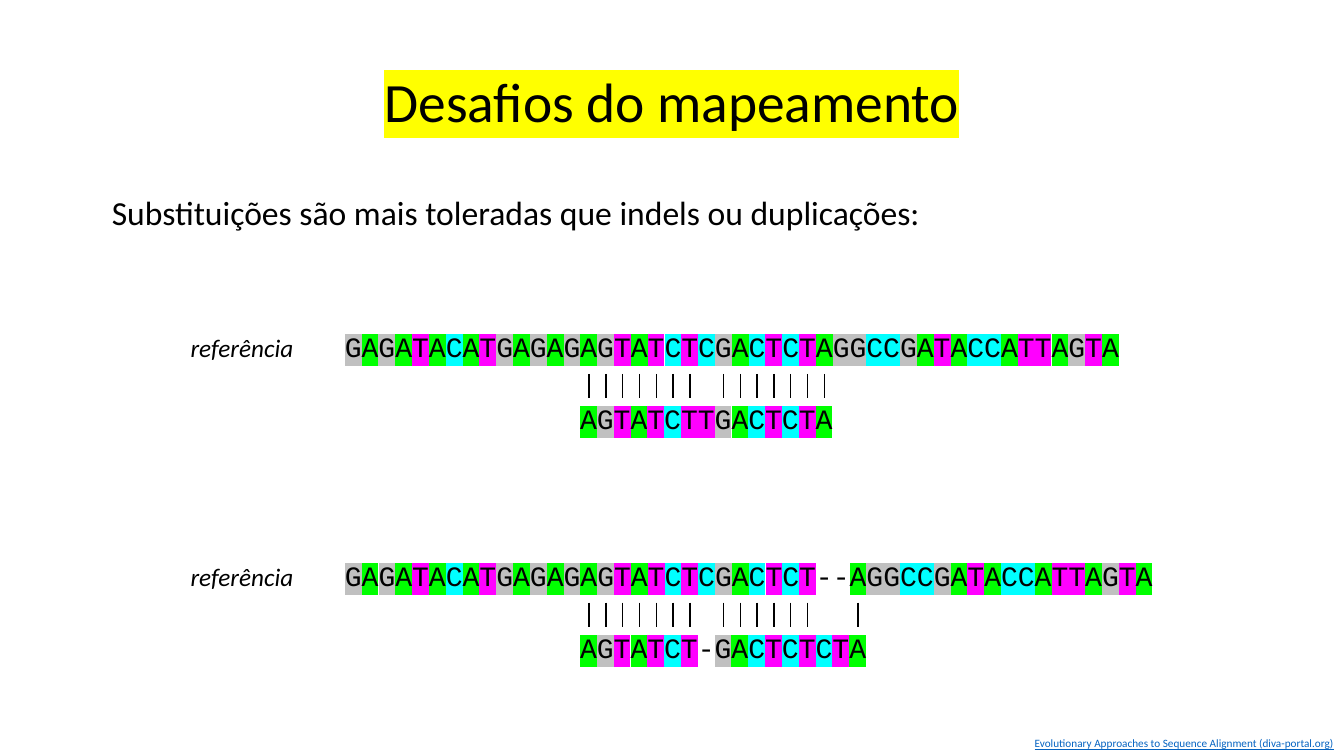
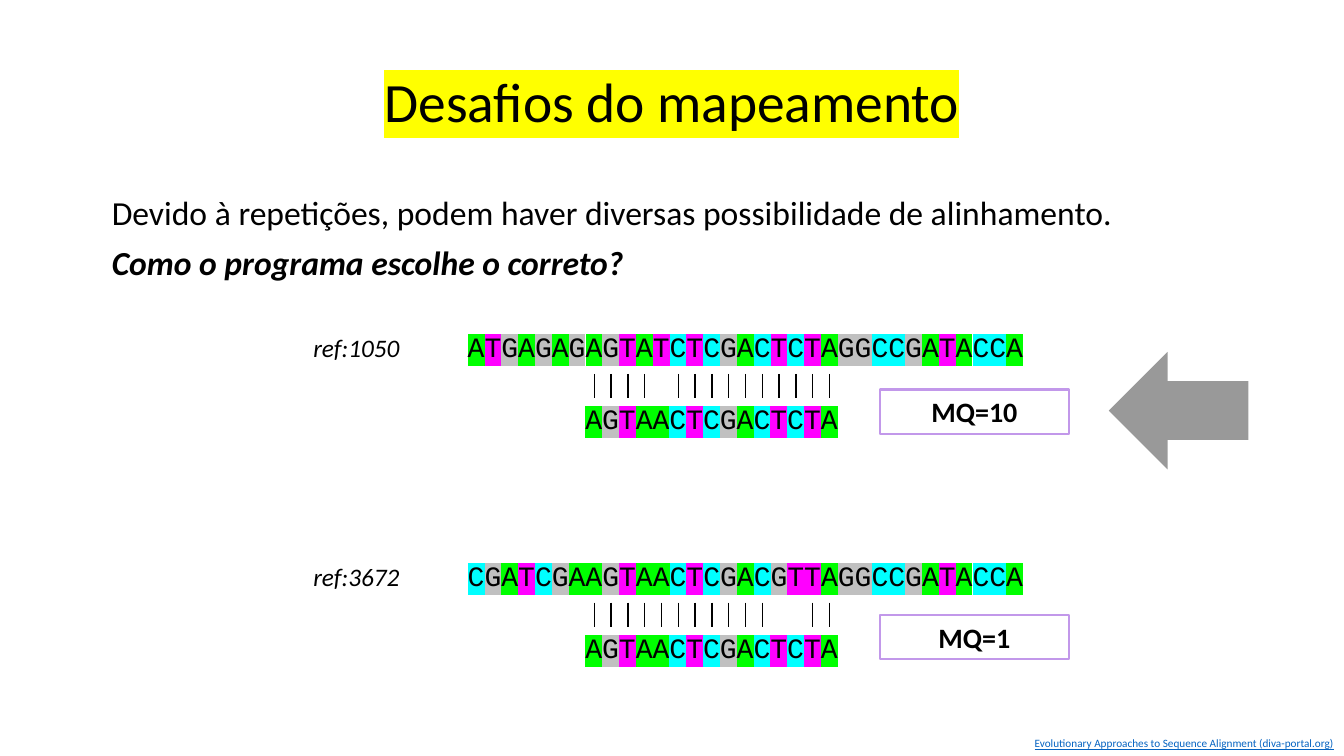
"""Build two slides on the challenges of mapping reads to a reference."""
import itertools

import pptx
import pptx.dml.color
import pptx.enum.shapes
import pptx.enum.text
import pptx.oxml
import pptx.oxml.ns
import pptx.util

RGBColor = pptx.dml.color.RGBColor
Pt = pptx.util.Pt
ALIGN = pptx.enum.text.PP_ALIGN
ANCHOR = pptx.enum.text.MSO_ANCHOR
SHAPE = pptx.enum.shapes.MSO_SHAPE

EMU_PER_PX = 9525
BLACK = RGBColor(0x00, 0x00, 0x00)
YELLOW = RGBColor(0xFF, 0xFF, 0x00)
LILAC = RGBColor(0xC2, 0x98, 0xEA)
LINK_BLUE = RGBColor(0x05, 0x63, 0xC1)
BASE_COLORS = {
    "A": RGBColor(0x00, 0xFF, 0x00),
    "C": RGBColor(0x00, 0xFF, 0xFF),
    "G": RGBColor(0xC0, 0xC0, 0xC0),
    "T": RGBColor(0xFF, 0x00, 0xFF),
}

TITLE = "Desafios do mapeamento"
SOURCE = "Evolutionary Approaches to Sequence Alignment (diva-portal.org)"
SLIDES = [
    {
        "statement": "Substituições são mais toleradas que indels ou duplicações:",
        "question": None,
        "left": 319,
        "offset": 14,
        "alignments": [
            ("referência", "GAGATACATGAGAGAGTATCTCGACTCTAGGCCGATACCATTAGTA",
             "AGTATCTTGACTCTA"),
            ("referência", "GAGATACATGAGAGAGTATCTCGACTCT--AGGCCGATACCATTAGTA",
             "AGTATCT-GACTCTCTA"),
        ],
        "scores": [],
        "arrow": False,
    },
    {
        "statement": "Devido à repetições, podem haver diversas possibilidade "
                     "de alinhamento.",
        "question": "Como o programa escolhe o correto?",
        "left": 436,
        "offset": 7,
        "alignments": [
            ("ref:1050", "ATGAGAGAGTATCTCGACTCTAGGCCGATACCA", "AGTAACTCGACTCTA"),
            ("ref:3672", "CGATCGAAGTAACTCGACGTTAGGCCGATACCA", "AGTAACTCGACTCTA"),
        ],
        "scores": ["MQ=10", "MQ=1"],
        "arrow": True,
    },
]

BASE_WIDTH = 16
TEXT_INSET = 10
ALIGNMENT_TOPS = (313, 531)
SCORE_TOPS = (371, 586)


def px(length):
    return pptx.util.Emu(round(length * EMU_PER_PX))


def box(*lengths):
    return [px(length) for length in lengths]


def style(paragraph, size, name="Calibri", color=BLACK, align=ALIGN.LEFT,
          spacing=None, bold=False, italic=False, underline=False):
    font = paragraph.font
    font.size, font.name = Pt(size), name
    font.bold, font.italic, font.underline = bold, italic, underline
    font.color.rgb = color
    paragraph.alignment = align
    paragraph.line_spacing = spacing


def add_text_box(shapes, place):
    text_frame = shapes.add_textbox(*box(*place)).text_frame
    text_frame.word_wrap = True
    return text_frame


def add_text(shapes, place, text, **looks):
    text_frame = add_text_box(shapes, place)
    text_frame.text = text
    style(text_frame.paragraphs[0], **looks)
    return text_frame


def highlight(run, color):
    properties = run._r.get_or_add_rPr()
    properties.append(pptx.oxml.parse_xml(
        f'<a:highlight {pptx.oxml.ns.nsdecls("a")}>'
        f'<a:srgbClr val="{color}"/></a:highlight>'))


def add_sequence(shapes, left, top, sequence):
    width = len(sequence) * BASE_WIDTH + 24
    paragraph = add_text_box(shapes, (left, top, width, 43)).paragraphs[0]
    for base, repeats in itertools.groupby(sequence):
        run = paragraph.add_run()
        run.text = "".join(repeats)
        if base in BASE_COLORS:
            highlight(run, BASE_COLORS[base])
    style(paragraph, 20, name="Courier New", spacing=0.9)


def add_match_line(shapes, x, top):
    line = shapes.add_connector(
        pptx.enum.shapes.MSO_CONNECTOR.STRAIGHT, *box(x, top, x, top + 23))
    line.line.color.rgb = BLACK
    line.line.width = Pt(1)
    line._element.spPr.append(pptx.oxml.parse_xml(
        f'<a:effectLst {pptx.oxml.ns.nsdecls("a")}/>'))


def add_alignment(slide, left, top, offset, label, reference, read):
    shapes = slide.shapes.add_group_shape().shapes
    read_left = left + offset * BASE_WIDTH
    add_text(shapes, (left - 147, top - 1, 154, 38), label, size=18, italic=True)
    add_sequence(shapes, left, top, reference)
    add_sequence(shapes, read_left, top + 68, read)
    for index, (expected, base) in enumerate(zip(reference[offset:], read)):
        if expected == base:
            x = read_left + TEXT_INSET + (index + 0.5) * BASE_WIDTH
            add_match_line(shapes, x, top + 43)


def add_score(slide, top, text):
    shape = slide.shapes.add_shape(SHAPE.RECTANGLE, *box(838, top, 180, 42))
    shape.shadow.inherit = False
    shape.fill.background()
    shape.line.color.rgb = LILAC
    shape.line.width = Pt(1.5)
    shape.text_frame.text = text
    style(shape.text_frame.paragraphs[0], 20, align=ALIGN.CENTER, bold=True)


def add_arrow(slide):
    arrow = slide.shapes.add_shape(SHAPE.LEFT_ARROW, *box(1056, 335, 133, 112))
    arrow.shadow.inherit = False
    arrow.line.fill.background()
    arrow.fill.solid()
    arrow.fill.fore_color.rgb = BLACK
    color = arrow._element.spPr.find(".//" + pptx.oxml.ns.qn("a:srgbClr"))
    color.append(pptx.oxml.parse_xml(
        f'<a:alpha {pptx.oxml.ns.nsdecls("a")} val="40000"/>'))


def add_frame(slide):
    title = add_text(slide.shapes, (88, 66, 1104, 66), TITLE, size=39.6,
                     align=ALIGN.CENTER, spacing=0.8)
    title.vertical_anchor = ANCHOR.BOTTOM
    highlight(title.paragraphs[0].runs[0], YELLOW)
    add_text(slide.shapes, (0, 697, 1280, 23), SOURCE, size=8,
             color=LINK_BLUE, align=ALIGN.RIGHT, underline=True)


def add_body(slide, statement, question):
    body = add_text(slide.shapes, (97, 182, 1092, 479), statement,
                    size=24, spacing=0.9)
    if question:
        paragraph = body.add_paragraph()
        paragraph.text = question
        paragraph.space_before = Pt(10)
        style(paragraph, 24, spacing=0.9, bold=True, italic=True)


def main():
    presentation = pptx.Presentation()
    presentation.slide_width, presentation.slide_height = box(1280, 720)
    for content in SLIDES:
        slide = presentation.slides.add_slide(presentation.slide_layouts[6])
        add_body(slide, content["statement"], content["question"])
        for top, alignment in zip(ALIGNMENT_TOPS, content["alignments"]):
            add_alignment(slide, content["left"], top, content["offset"], *alignment)
        for top, score in zip(SCORE_TOPS, content["scores"]):
            add_score(slide, top, score)
        if content["arrow"]:
            add_arrow(slide)
        add_frame(slide)
    presentation.save("out.pptx")


if __name__ == "__main__":
    main()
